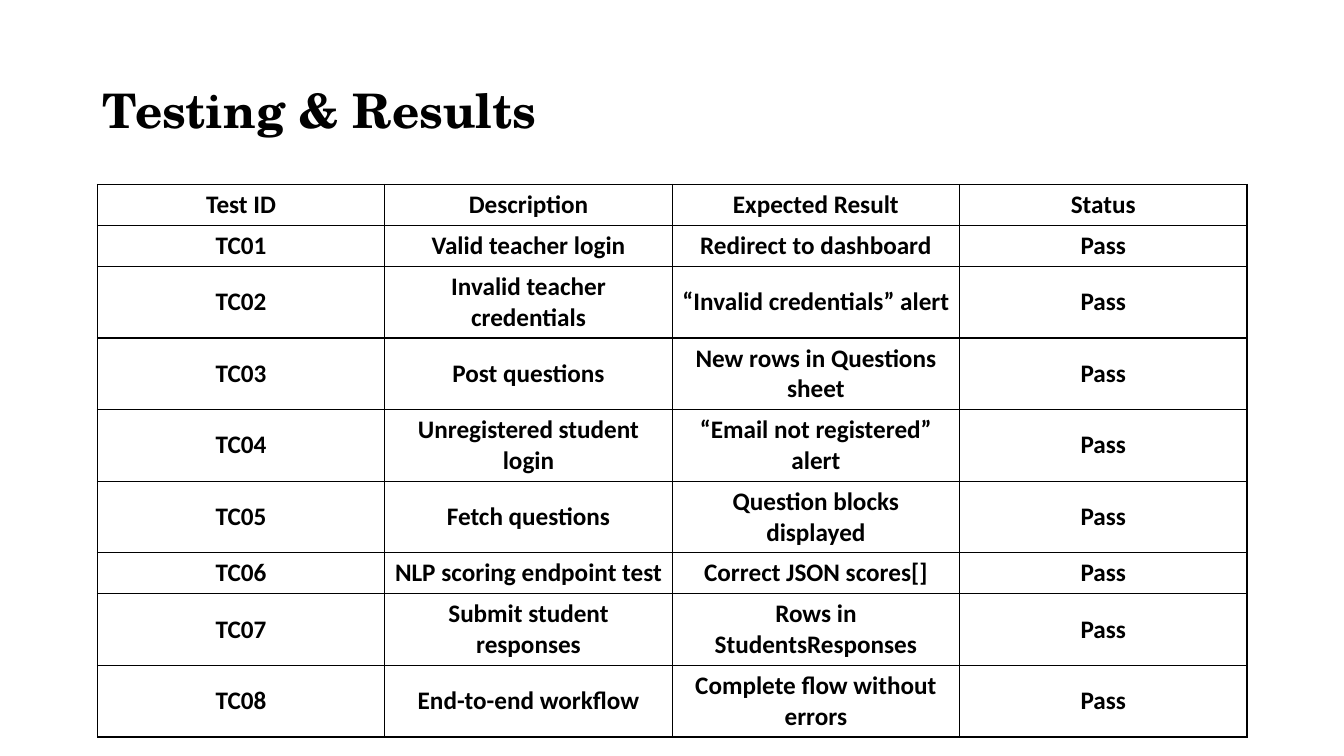
from dataclasses import dataclass

from lxml.etree import SubElement
from pptx import Presentation
from pptx.dml.color import RGBColor
from pptx.enum.text import MSO_ANCHOR, PP_ALIGN
from pptx.oxml.ns import qn
from pptx.util import Pt

TITLE = "Testing & Results"
HEADINGS = ("Test ID", "Description", "Expected Result", "Status")
# Description, expected result, lines of text in the row
TESTS = [
    ("Valid teacher login", "Redirect to dashboard", 1),
    ("Invalid teacher credentials", "“Invalid credentials” alert", 2),
    ("Post questions", "New rows in Questions sheet", 2),
    ("Unregistered student login", "“Email not registered” alert", 2),
    ("Fetch questions", "Question blocks displayed", 2),
    ("NLP scoring endpoint test", "Correct JSON scores[]", 1),
    ("Submit student responses", "Rows in StudentsResponses", 2),
    ("End-to-end workflow", "Complete flow without errors", 2),
]
STATUS = "Pass"


@dataclass(frozen=True)
class Theme:
    ink: str = "000000"
    title_font: str = "TeX Gyre Schola"
    title_size: int = 34
    body_font: str = "Calibri"
    body_size: int = 18
    border: int = 1


THEME = Theme()
PAGE_SIZE = (960, 540)
TITLE_BOX = (66, 28.75, 828, 104.4)
TABLE_LEFT, TABLE_TOP = 69.6, 131.8
COLUMN_WIDTH = 205.3
ROW_HEIGHTS = {1: 29, 2: 51}


def style_text(paragraph, font_name, size):
    for span in paragraph.runs:
        span.font.name = font_name
        span.font.size = Pt(size)
        span.font.bold = True
        span.font.color.rgb = RGBColor.from_string(THEME.ink)


def add_borders(cell):
    """Draw all four edges, which must come before the fill in the cell's XML."""
    properties = cell._tc.get_or_add_tcPr()
    for edge in ("a:lnL", "a:lnR", "a:lnT", "a:lnB"):
        line = SubElement(properties, qn(edge), w=str(Pt(THEME.border)))
        fill = SubElement(line, qn("a:solidFill"))
        SubElement(fill, qn("a:srgbClr"), val=THEME.ink)


def fill_cell(cell, text):
    cell.text_frame.text = text
    cell.vertical_anchor = MSO_ANCHOR.MIDDLE
    paragraph = cell.text_frame.paragraphs[0]
    paragraph.alignment = PP_ALIGN.CENTER
    style_text(paragraph, THEME.body_font, THEME.body_size)
    add_borders(cell)
    cell.fill.background()


def add_title(page):
    title = page.shapes.title
    title.left, title.top, title.width, title.height = map(Pt, TITLE_BOX)
    title.text_frame.text = TITLE
    title.text_frame.vertical_anchor = MSO_ANCHOR.MIDDLE
    paragraph = title.text_frame.paragraphs[0]
    paragraph.alignment = PP_ALIGN.LEFT
    paragraph.line_spacing = 0.9
    style_text(paragraph, THEME.title_font, THEME.title_size)


def add_results(page):
    rows = [HEADINGS]
    heights = [ROW_HEIGHTS[1]]
    for number, (description, expected, lines) in enumerate(TESTS, start=1):
        rows.append((f"TC{number:02}", description, expected, STATUS))
        heights.append(ROW_HEIGHTS[lines])

    table = page.shapes.add_table(
        len(rows), len(HEADINGS), Pt(TABLE_LEFT), Pt(TABLE_TOP),
        Pt(COLUMN_WIDTH * len(HEADINGS)), Pt(sum(heights)),
    ).table
    table.first_row = table.horz_banding = False
    for column in table.columns:
        column.width = Pt(COLUMN_WIDTH)
    for row, height, texts in zip(table.rows, heights, rows):
        row.height = Pt(height)
        for cell, text in zip(row.cells, texts):
            fill_cell(cell, text)


def main():
    deck = Presentation()
    deck.slide_width, deck.slide_height = map(Pt, PAGE_SIZE)
    page = deck.slides.add_slide(deck.slide_layouts[5])
    add_title(page)
    add_results(page)
    deck.save("out.pptx")


if __name__ == "__main__":
    main()
